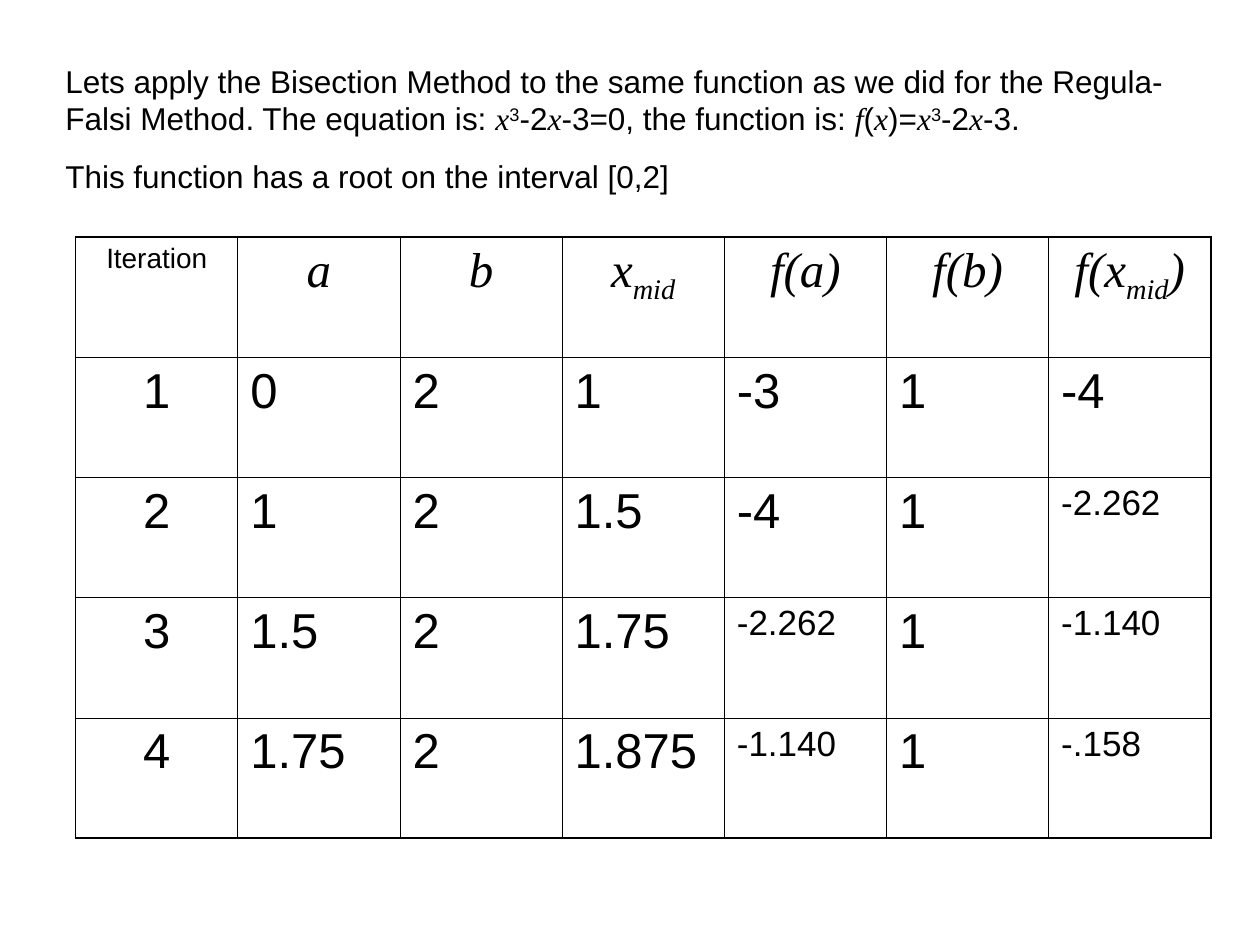
"""Build a slide that tabulates the Bisection Method."""
from lxml.etree import SubElement as add_element
from pptx import Presentation
from pptx.dml.color import RGBColor
from pptx.enum.text import MSO_AUTO_SIZE as AutoSize, PP_ALIGN as Align
from pptx.oxml.ns import qn
from pptx.util import Inches, Pt

COLORS = {"ink": "000000", "paper": "FFFFFF"}
WIDTH, HEIGHT = Inches(10), Inches(7.5)
THIN, THICK = Pt(0.45), Pt(1.08)

PLAIN = {"name": "Arial", "italic": False, "bold": False}
MATH = {"name": "Times New Roman", "italic": True, "bold": False}
SUPER, SUB = 30000, -25000

CUBIC = [("x", MATH), ("3", PLAIN, SUPER), ("-2", PLAIN), ("x", MATH)]
INTRO = [
    [("Lets apply the Bisection Method to the same function as we did for "
      "the Regula-Falsi Method. The equation is: ", PLAIN),
     *CUBIC, ("-3=0, the function is: ", PLAIN),
     ("f", MATH), ("(", PLAIN), ("x", MATH), (")=", PLAIN),
     *CUBIC, ("-3.", PLAIN)],
    [("This function has a root on the interval [0,2]", PLAIN)],
]
MID = ("mid", MATH, SUB)
HEADER = [
    [("Iteration", PLAIN)],
    [("a", MATH)],
    [("b", MATH)],
    [("x", MATH), MID],
    [("f(a)", MATH)],
    [("f(b)", MATH)],
    [("f(x", MATH), MID, (")", MATH)],
]
ITERATIONS = [
    ["1", "0", "2", "1", "-3", "1", "-4"],
    ["2", "1", "2", "1.5", "-4", "1", "-2.262"],
    ["3", "1.5", "2", "1.75", "-2.262", "1", "-1.140"],
    ["4", "1.75", "2", "1.875", "-1.140", "1", "-.158"],
]


def apply_format(target, values):
    """Set each attribute of the target from a dict of values."""
    for name, value in values.items():
        setattr(target, name, value)


def write_runs(paragraph, runs, size, space, alignment=Align.LEFT):
    """Fill a paragraph with (text, style, optional baseline) runs."""
    apply_format(paragraph, {"alignment": alignment, "space_before": Pt(space)})
    for text, style, *baseline in runs:
        run = paragraph.add_run()
        run.text = text
        apply_format(run.font, {"size": Pt(size), **style})
        run.font.color.rgb = RGBColor.from_string(COLORS["ink"])
        if baseline:
            run._r.get_or_add_rPr().set("baseline", str(baseline[0]))


def add_intro(slide):
    """Add the two paragraphs that state the problem."""
    box = slide.shapes.add_textbox(
        int(WIDTH * 0.042), int(HEIGHT * 0.0587), int(WIDTH * 0.905), int(HEIGHT * 0.155))
    frame = box.text_frame
    apply_format(frame, {"word_wrap": True, "auto_size": AutoSize.SHAPE_TO_FIT_TEXT})
    for index, runs in enumerate(INTRO):
        paragraph = frame.add_paragraph() if index else frame.paragraphs[0]
        write_runs(paragraph, runs, size=18, space=11.25)


def set_borders(cell, widths):
    """Draw the four edges of a cell, given widths by side."""
    properties = cell._tc.get_or_add_tcPr()
    for side, width in widths.items():
        line = add_element(properties, qn(f"a:ln{side}"), w=str(width))
        fill = add_element(line, qn("a:solidFill"))
        add_element(fill, qn("a:srgbClr"), val=COLORS["ink"])


def text_size(text):
    """Choose a smaller size for the heading word and negative decimals."""
    if text == "Iteration":
        return 16
    return 20 if text.startswith("-") and "." in text else 28


def add_iterations(slide):
    """Add the table of iterations with a thicker outer frame."""
    rows = HEADER, *([[(value, PLAIN)] for value in row] for row in ITERATIONS)
    last_row, last_column = len(rows) - 1, len(HEADER) - 1
    table = slide.shapes.add_table(
        len(rows), len(HEADER), int(WIDTH * 0.06), int(HEIGHT * 0.251),
        int(WIDTH * 0.901), int(HEIGHT * 0.636)).table
    apply_format(table, {"first_row": False, "horz_banding": False})
    for r, row in enumerate(rows):
        for c, runs in enumerate(row):
            cell = table.cell(r, c)
            centered = r == 0 or c == 0
            size = text_size(runs[0][0])
            write_runs(cell.text_frame.paragraphs[0], runs, size, size / 4,
                       Align.CENTER if centered else Align.LEFT)
            outer = {"L": c == 0, "R": c == last_column, "T": r == 0, "B": r == last_row}
            set_borders(cell, {side: THICK if edge else THIN for side, edge in outer.items()})
            cell.fill.solid()
            cell.fill.fore_color.rgb = RGBColor.from_string(COLORS["paper"])


def main():
    """Create the presentation and save it."""
    presentation = Presentation()
    apply_format(presentation, {"slide_width": WIDTH, "slide_height": HEIGHT})
    slide = presentation.slides.add_slide(presentation.slide_layouts[6])
    add_intro(slide)
    add_iterations(slide)
    presentation.save("out.pptx")


if __name__ == "__main__":
    main()
